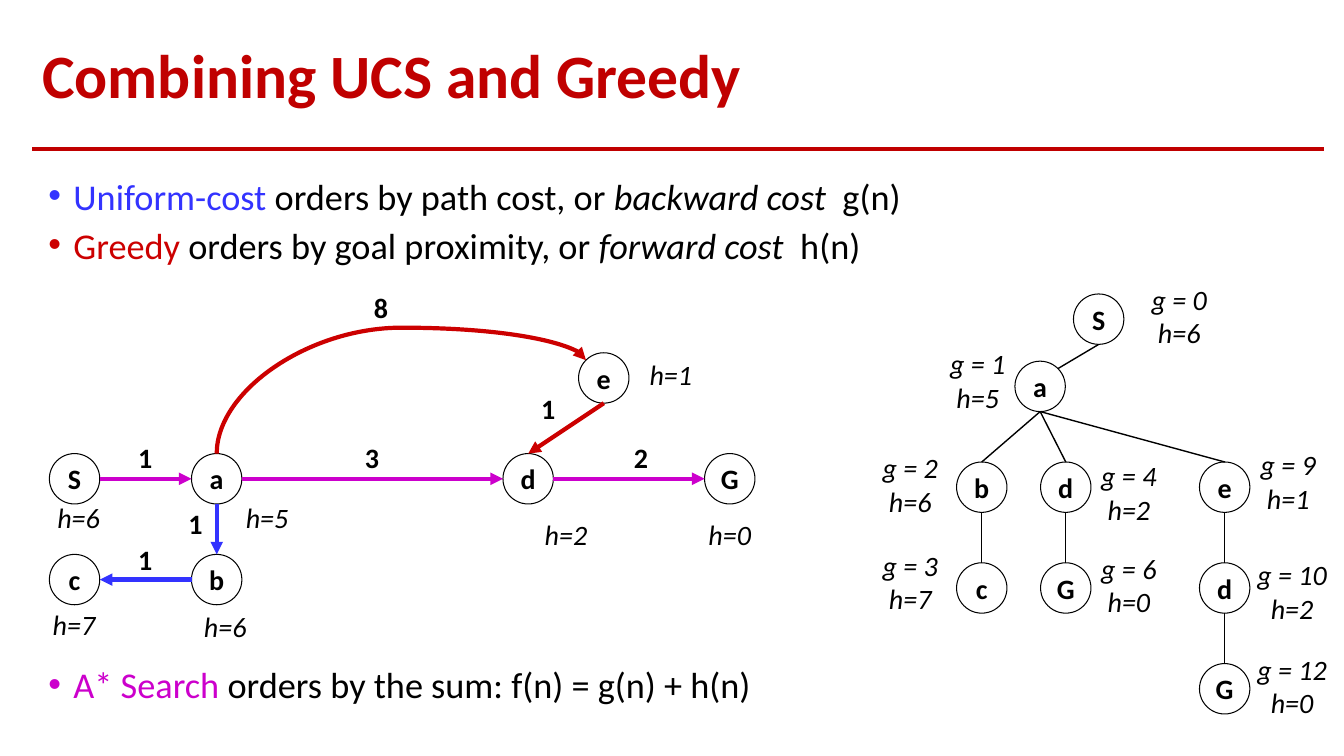
from lxml import etree
from pptx import Presentation
from pptx.dml.color import RGBColor
from pptx.enum.shapes import MSO_CONNECTOR, MSO_SHAPE
from pptx.enum.text import MSO_ANCHOR, PP_ALIGN
from pptx.oxml.ns import qn
from pptx.util import Pt

STRAIGHT, CURVE = MSO_CONNECTOR.STRAIGHT, MSO_CONNECTOR.CURVE
OVAL = MSO_SHAPE.OVAL
MIDDLE = MSO_ANCHOR.MIDDLE
LEFT, CENTER = PP_ALIGN.LEFT, PP_ALIGN.CENTER

COLORS = {
    "title": "C00000",
    "black": "000000",
    "white": "FFFFFF",
    "uniform": "3333FF",
    "greedy": "CC0000",
    "astar": "CC00CC",
}
RADIUS = 18
DIAGONAL = 12.73
SITES = {
    "top": (0, -RADIUS),
    "bottom": (0, RADIUS),
    "left": (-RADIUS, 0),
    "right": (RADIUS, 0),
    "top left": (-DIAGONAL, -DIAGONAL),
    "top right": (DIAGONAL, -DIAGONAL),
}


def add_span(para, text, size, color="black", bold=False, italic=False):
    span = para.add_run()
    span.text = text
    span.font.name = "Calibri"
    span.font.size = Pt(size)
    span.font.bold = bold
    span.font.italic = italic
    span.font.color.rgb = RGBColor.from_string(COLORS[color])


def add_line(kind, start, end, color, width, arrow=False):
    line = page.shapes.add_connector(kind, *(Pt(value) for value in (*start, *end)))
    line.line.color.rgb = RGBColor.from_string(COLORS[color])
    line.line.width = Pt(width)
    if arrow:
        etree.SubElement(line.get_or_add_ln(), qn("a:tailEnd"), type="triangle")
    etree.SubElement(line._element.spPr, qn("a:effectLst"))
    return line


deck = Presentation()
deck.slide_width, deck.slide_height = Pt(960), Pt(540)
page = deck.slides.add_slide(deck.slide_layouts[5])

title = page.shapes.title
title.left, title.top, title.width, title.height = Pt(23), Pt(20), Pt(923), Pt(72)
title.text_frame.vertical_anchor = MIDDLE
title.text_frame.word_wrap = True
para = title.text_frame.paragraphs[0]
para.alignment = LEFT
para.line_spacing = 0.9
add_span(para, "Combining UCS and Greedy", 44, "title", bold=True)
add_line(STRAIGHT, (23, 106.5), (946, 106.5), "title", 2.5)

bullet_boxes = [
    (126.7, 70, [
        [("Uniform-cost", "uniform", False), (" orders by path cost, or ", "black", False),
         ("backward cost  ", "black", True), ("g(n)", "black", False)],
        [("Greedy", "greedy", False), (" orders by goal proximity, or ", "black", False),
         ("forward cost  ", "black", True), ("h(n)", "black", False)],
    ]),
    (475.3, 35, [
        [("A* Search", "astar", False), (" orders by the sum: f(n) = g(n) + h(n)", "black", False)],
    ]),
]
for top, height, bullets in bullet_boxes:
    box = page.shapes.add_textbox(Pt(27.4), Pt(top), Pt(918), Pt(height))
    frame = box.text_frame
    frame.word_wrap = True
    for index, spans in enumerate(bullets):
        para = frame.add_paragraph() if index else frame.paragraphs[0]
        para.line_spacing = 0.8
        para.space_before = Pt(10 if index else 0)
        props = para._p.get_or_add_pPr()
        props.set("marL", str(Pt(18)))
        props.set("indent", str(Pt(-18)))
        etree.SubElement(props, qn("a:buFont"), typeface="Arial")
        etree.SubElement(props, qn("a:buChar"), char="•")
        for text, color, italic in spans:
            add_span(para, text, 25.9, color, italic=italic)

graph_nodes = {
    "S": (53.3, 342), "a": (154.8, 342), "d": (377.3, 342), "G": (521.3, 342),
    "c": (53.3, 414), "b": (154.8, 414), "e": (431.3, 270),
}
tree_nodes = {
    "S": (784.8, 228), "S-a": (743, 276),
    "a-b": (701.3, 348), "a-d": (761.3, 348), "a-e": (874.8, 348),
    "b-c": (701.3, 420), "d-G": (761.3, 420), "e-d": (874.8, 420),
    "d-G end": (874.8, 492),
}
tree_names = ["S", "a", "b", "d", "e", "c", "G", "d", "G"]
nodes = list(graph_nodes.items()) + list(zip(tree_names, tree_nodes.values()))
for name, (x, y) in nodes:
    node = page.shapes.add_shape(
        OVAL, Pt(x - RADIUS), Pt(y - RADIUS), Pt(2 * RADIUS), Pt(2 * RADIUS))
    node.shadow.inherit = False
    node.fill.solid()
    node.fill.fore_color.rgb = RGBColor.from_string(COLORS["white"])
    node.line.color.rgb = RGBColor.from_string(COLORS["black"])
    node.line.width = Pt(0.75)
    node.text_frame.word_wrap = False
    node.text_frame.vertical_anchor = MIDDLE
    para = node.text_frame.paragraphs[0]
    para.alignment = CENTER
    add_span(para, name, 20, bold=True)

graph_edges = [
    ("a", "bottom", "b", "top", "uniform"),
    ("b", "left", "c", "right", "uniform"),
    ("e", "bottom", "d", "top", "greedy"),
    ("S", "right", "a", "left", "astar"),
    ("a", "right", "d", "left", "astar"),
    ("d", "right", "G", "left", "astar"),
]
tree_edges = [
    ("S", "bottom", "S-a", "top right"),
    ("S-a", "bottom", "a-b", "top"),
    ("S-a", "bottom", "a-d", "top"),
    ("S-a", "bottom", "a-e", "top"),
    ("a-b", "bottom", "b-c", "top"),
    ("a-d", "bottom", "d-G", "top"),
    ("a-e", "bottom", "e-d", "top"),
    ("e-d", "bottom", "d-G end", "top"),
]
edges = [(graph_nodes, *edge, 3, True) for edge in graph_edges]
edges += [(tree_nodes, *edge, "black", 1, False) for edge in tree_edges]
for places, source, source_site, target, target_site, color, width, arrow in edges:
    start = [sum(pair) for pair in zip(places[source], SITES[source_site])]
    end = [sum(pair) for pair in zip(places[target], SITES[target_site])]
    add_line(STRAIGHT, start, end, color, width, arrow)

start_x, start_y = [sum(pair) for pair in zip(graph_nodes["a"], SITES["top"])]
end_x, end_y = [sum(pair) for pair in zip(graph_nodes["e"], SITES["top left"])]
middle_x, middle_y = (start_x + end_x) / 2, (start_y + end_y) / 2
half_width, half_height = (start_y - end_y) / 2, (end_x - start_x) / 2
arc = add_line(CURVE, (middle_x - half_width, middle_y - half_height),
               (middle_x + half_width, middle_y + half_height), "greedy", 3, True)
arc_props = arc._element.spPr
arc_props.find(qn("a:xfrm")).set("rot", "16200000")
guides = arc_props.find(qn("a:prstGeom")).find(qn("a:avLst"))
etree.SubElement(guides, qn("a:gd"), name="adj1", fmla="val 134800")

weights = [
    ("1", 103.7, 311), ("3", 265.7, 311), ("2", 457.9, 311), ("8", 272.2, 203.8),
    ("1", 391.7, 275.8), ("1", 139.7, 358.6), ("1", 103.7, 383.8),
]
estimates = [
    ("h=6", 56.2, 354.2), ("h=5", 190.8, 354.2), ("h=2", 404.3, 365.8),
    ("h=0", 521.3, 365.8), ("h=1", 479.2, 252), ("h=7", 52.9, 430.6),
    ("h=6", 160.9, 432),
    ("g = 0\nh=6", 842.4, 198), ("g = 1\nh=5", 698.4, 244.1),
    ("g = 2\nh=6", 650.2, 318.2), ("g = 3\nh=7", 650.2, 388.1),
    ("g = 4\nh=2", 806.4, 324), ("g = 6\nh=0", 806.4, 390.2),
    ("g = 9\nh=1", 920.2, 316.1), ("g = 10\nh=2", 923, 394.6),
    ("g = 12\nh=0", 923, 462.2),
]
for text, x, top in weights + estimates:
    rows = text.split("\n")
    box = page.shapes.add_textbox(Pt(x - 36), Pt(top), Pt(72), Pt(7 + 24 * len(rows)))
    box.text_frame.word_wrap = True
    para = box.text_frame.paragraphs[0]
    para.alignment = CENTER
    for index, row in enumerate(rows):
        if index:
            para.add_line_break()
        add_span(para, row, 20, bold=text.isdigit(), italic=not text.isdigit())

deck.save("out.pptx")
